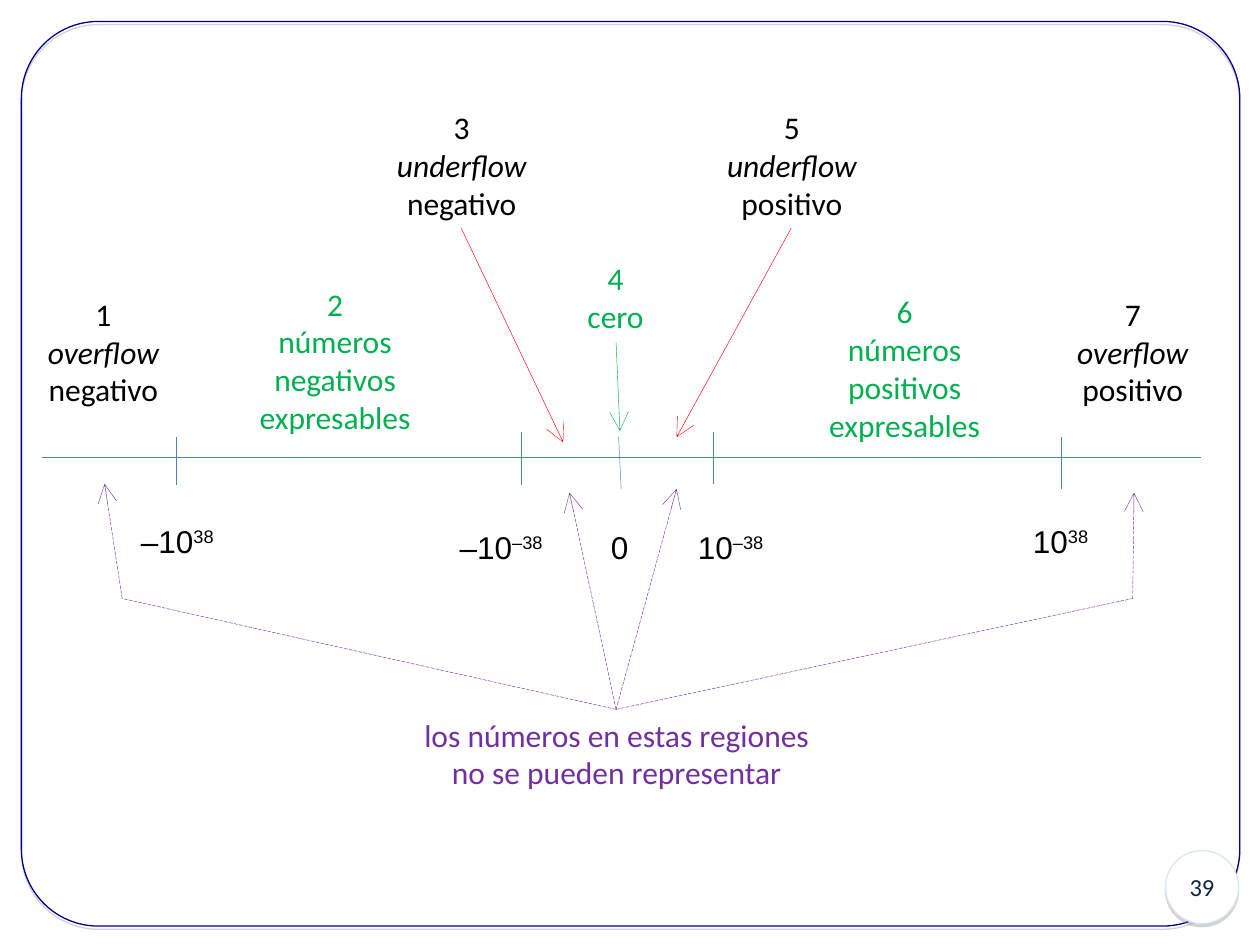
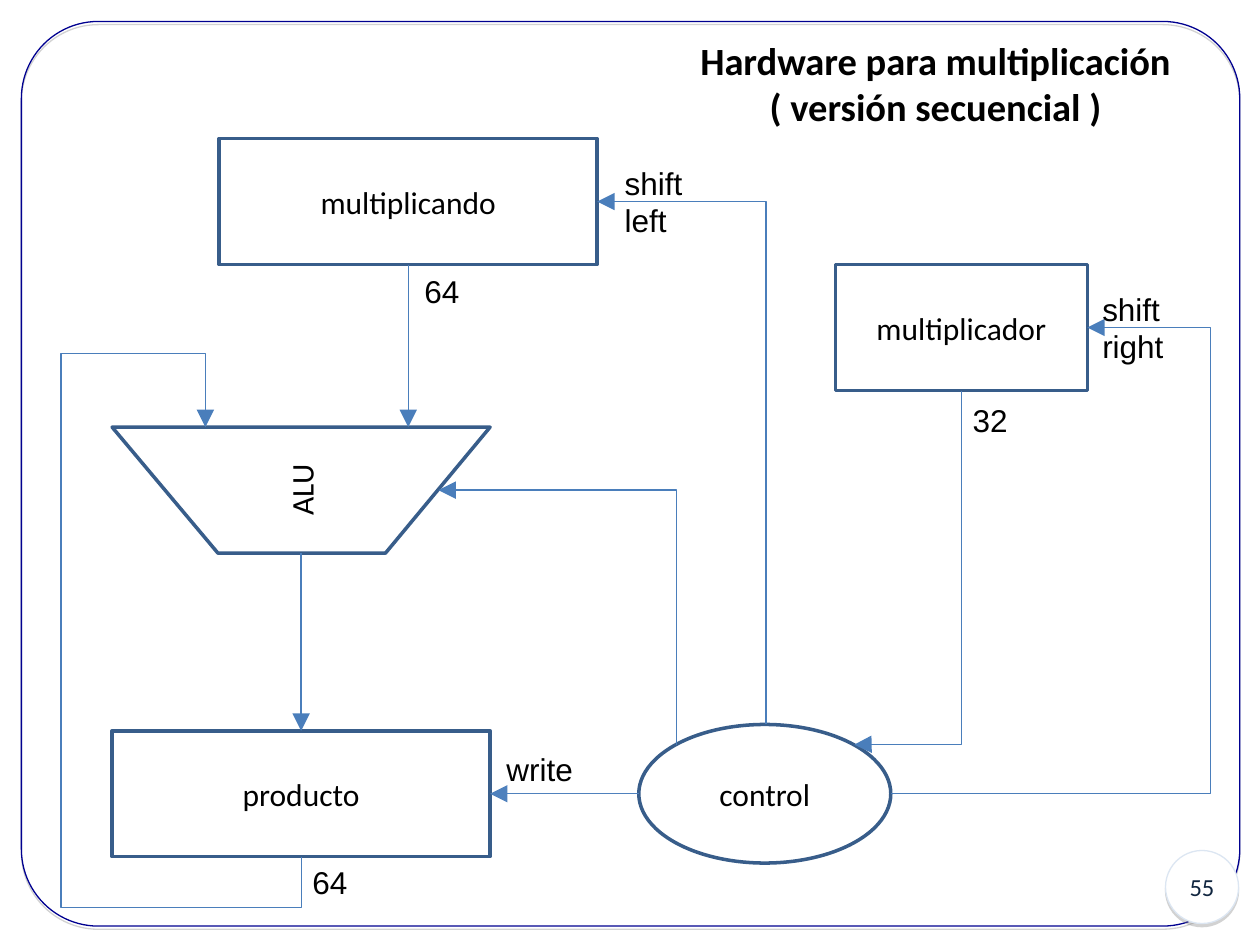
from dataclasses import dataclass

from lxml import etree
from pptx import Presentation
from pptx.dml.color import RGBColor
from pptx.enum.dml import MSO_LINE
from pptx.enum.shapes import MSO_CONNECTOR as CONN, MSO_SHAPE as SHAPE
from pptx.enum.text import MSO_ANCHOR as ANCHOR, MSO_AUTO_SIZE as AUTO, PP_ALIGN as ALIGN
from pptx.oxml.ns import qn
from pptx.util import Inches, Pt

COLORS = {
    "frame": "000090", "badge": "FFFFFF", "badge_line": "DCE6F2", "page": "10253F",
    "shadow": "808080", "text": "000000", "axis": "4F81BD", "box": "385D8A",
    "wire": "4A7EBB", "ok": "00B050", "underflow": "FF0000", "lost": "7030A0",
}
BODY, LABEL = "Calibri", "Arial"
ITALIC_WORDS = {"overflow", "underflow"}
Point = tuple[float, float]


@dataclass
class Label:
    text: str
    left: float
    top: float
    width: float
    height: float
    color: str = "text"
    font: str = LABEL
    align: ALIGN = ALIGN.LEFT
    power: str = ""


@dataclass
class Box:
    text: str
    left: float
    top: float
    width: float
    height: float
    shape: SHAPE = SHAPE.RECTANGLE


@dataclass
class Line:
    start: Point
    end: Point
    color: str = "axis"
    head: str = ""
    width: float = 0.25
    dashed: bool = False


@dataclass
class Elbow:
    start: Point
    end: Point
    bends: int          # number in the bentConnector preset
    rotation: int
    flip: bool = True
    adjust: tuple[int, ...] = ()


def rgb(name: str) -> RGBColor:
    return RGBColor.from_string(COLORS[name])


def sub(parent, tag: str, **attrs):
    return etree.SubElement(parent, qn(tag), attrs)


def format_text(tf, size: int, color: str, font: str, align: ALIGN, bold=False) -> None:
    for p in tf.paragraphs:
        p.alignment = align
        for r in p.runs:
            r.font.size, r.font.name, r.font.bold = Pt(size), font, bold
            r.font.italic = r.text in ITALIC_WORDS
            r.font.color.rgb = rgb(color)


def style_shape(sp, line: str, width: float, fill: str = "") -> None:
    sp.shadow.inherit = False
    if fill:
        sp.fill.solid()
        sp.fill.fore_color.rgb = rgb(fill)
    else:
        sp.fill.background()
    sp.line.color.rgb = rgb(line)
    sp.line.width = Pt(width)


def add_box(s, box: Box, line: str = "box", width: float = 2, fill: str = "",
            size: int = 18, color: str = "text"):
    sp = s.shapes.add_shape(box.shape, Inches(box.left), Inches(box.top),
                            Inches(box.width), Inches(box.height))
    style_shape(sp, line, width, fill)
    fill_box(sp, box.text, size, color)
    return sp


def fill_box(sp, text: str, size: int = 18, color: str = "text") -> None:
    if text:
        tf = sp.text_frame
        tf.text, tf.vertical_anchor = text, ANCHOR.MIDDLE
        format_text(tf, size, color, BODY, ALIGN.CENTER)


def drop_shadow(sp) -> None:
    effects = sp._element.spPr.find(qn("a:effectLst"))
    outer = sub(effects, "a:outerShdw", dist=str(Pt(1.8)), dir="5400000",
                algn="ctr", rotWithShape="0")
    clr = sub(outer, "a:srgbClr", val=COLORS["shadow"])
    sub(clr, "a:alpha", val="35000")


def add_label(s, label: Label) -> None:
    tb = s.shapes.add_textbox(Inches(label.left), Inches(label.top),
                              Inches(label.width), Inches(label.height))
    tf = tb.text_frame
    tf.text, tf.word_wrap, tf.auto_size = label.text, False, AUTO.SHAPE_TO_FIT_TEXT
    if label.power:
        r = tf.paragraphs[0].add_run()
        r.text = label.power
        r.font._element.set("baseline", "30000")
    format_text(tf, 18, label.color, label.font, label.align)


def style_line(c, color: str, width: float, head: str, dashed: bool = False) -> None:
    c.line.color.rgb = rgb(color)
    c.line.width = Pt(width)
    if dashed:
        c.line.dash_style = MSO_LINE.LONG_DASH
    if head:
        sub(c.line._get_or_add_ln(), "a:tailEnd", type=head, w="lg", len="lg")
    sub(c._element.spPr, "a:effectLst")


def add_line(s, line: Line) -> None:
    ends = [Inches(v) for v in (*line.start, *line.end)]
    c = s.shapes.add_connector(CONN.STRAIGHT, *ends)
    style_line(c, line.color, line.width, line.head, line.dashed)


def add_elbow(s, elbow: Elbow) -> None:
    """Place the unrotated frame around the midpoint, then turn it."""
    (x1, y1), (x2, y2) = elbow.start, elbow.end
    w, h = abs(x2 - x1), abs(y2 - y1)
    if elbow.rotation:
        w, h = h, w
    left, top = (x1 + x2 - w) / 2, (y1 + y2 - h) / 2
    c = s.shapes.add_connector(CONN.ELBOW, Inches(left), Inches(top),
                               Inches(left + w), Inches(top + h))
    spPr = c._element.spPr
    xfrm = spPr.find(qn("a:xfrm"))
    xfrm.set("rot", str(elbow.rotation * 60000))
    if elbow.flip:
        xfrm.set("flipV", "1")
    geom = spPr.find(qn("a:prstGeom"))
    geom.set("prst", f"bentConnector{elbow.bends}")
    guides = geom.find(qn("a:avLst"))
    for i, value in enumerate(elbow.adjust, 1):
        sub(guides, "a:gd", name=f"adj{i}", fmla=f"val {value}")
    style_line(c, "wire", 0.75, "triangle")


def add_page(prs, layout: int, number: int):
    """New slide with the rounded frame and the page badge."""
    s = prs.slides.add_slide(prs.slide_layouts[layout])
    frame = add_box(s, Box("", 0.17, 0.17, 9.67, 7.18, SHAPE.ROUNDED_RECTANGLE), "frame", 0.75)
    frame.adjustments[0] = 0.085
    badge = add_box(s, Box(str(number), 9.25, 6.75, 0.58, 0.58, SHAPE.OVAL),
                    "badge_line", 0.75, "badge", 14, "page")
    for sp in (frame, badge):
        drop_shadow(sp)
    return s


def build_number_line(prs) -> None:
    s = add_page(prs, 6, 39)

    # Axis and ticks
    add_line(s, Line((0.33, 3.63), (9.53, 3.63)))
    for x1, y1, x2, y2 in ((1.4, 3.47, 1.4, 3.85), (4.14, 3.43, 4.14, 3.85),
                           (4.91, 3.47, 4.93, 3.88), (5.66, 3.43, 5.66, 3.84),
                           (8.42, 3.47, 8.42, 3.88)):
        add_line(s, Line((x1, y1), (x2, y2)))

    # Tick values
    for base, power, left, top, width in (
            ("–10", "38", 1.02, 4.09, 0.78), ("–10", "–38", 3.55, 4.14, 0.86),
            ("0", "", 4.75, 4.14, 0.34), ("10", "–38", 5.44, 4.14, 0.72),
            ("10", "38", 8.1, 4.09, 0.64)):
        add_label(s, Label(base, left, top, width, 0.4, power=power))

    # Regions
    for text, left, top, width, height, color in (
            ("1\noverflow\nnegativo", 0.28, 2.29, 1.08, 1, "text"),
            ("2\nnúmeros\nnegativos\nexpresables", 1.96, 2.21, 1.4, 1.3, "ok"),
            ("3\nunderflow\nnegativo", 3.05, 0.81, 1.23, 1, "text"),
            ("4\ncero", 4.56, 2.01, 0.65, 0.7, "ok"),
            ("5\nunderflow\npositivo", 5.67, 0.81, 1.23, 1, "text"),
            ("6\nnúmeros\npositivos\nexpresables", 6.48, 2.27, 1.4, 1.3, "ok"),
            ("7\noverflow\npositivo", 8.45, 2.29, 1.08, 1, "text"),
            ("los números en estas regiones\nno se pueden representar",
             3.26, 5.63, 3.27, 0.7, "lost")):
        add_label(s, Label(text, left, top, width, height, color, BODY, ALIGN.CENTER))

    # Arrows from regions to the axis
    for start, end, color in (((3.66, 1.81), (4.47, 3.51), "underflow"),
                              ((6.28, 1.81), (5.37, 3.47), "underflow"),
                              ((4.89, 2.72), (4.92, 3.42), "ok")):
        add_line(s, Line(start, end, color, "arrow"))

    # Dashed arrows to the regions that cannot be represented
    note = (4.89, 5.63)
    for start, end, head in ((note, (5.37, 3.88), "arrow"), (note, (4.52, 3.91), "arrow"),
                             (note, (8.99, 4.75), ""), (note, (0.97, 4.75), ""),
                             ((8.99, 4.75), (9, 3.91), "arrow"),
                             ((0.97, 4.75), (0.83, 3.84), "arrow")):
        add_line(s, Line(start, end, "lost", head, dashed=True))


def build_multiplier(prs) -> None:
    s = add_page(prs, 5, 55)

    # Title
    title = s.shapes.title
    title.left, title.top = Inches(5.45), Inches(0.24)
    title.width, title.height = Inches(3.95), Inches(0.84)
    tf = title.text_frame
    tf.text = "Hardware para multiplicación\n( versión secuencial )"
    tf.word_wrap, tf.auto_size, tf.vertical_anchor = False, AUTO.NONE, ANCHOR.TOP
    format_text(tf, 22, "text", BODY, ALIGN.CENTER, bold=True)

    # Registers and control
    for box in (Box("multiplicando", 1.74, 1.1, 3, 1), Box("producto", 0.89, 5.8, 3, 1),
                Box("multiplicador", 6.63, 2.1, 2, 1),
                Box("control", 5.07, 5.75, 2, 1.1, SHAPE.OVAL)):
        add_box(s, box)

    # ALU
    outline = [(Inches(x), Inches(y)) for x, y in
               ((0.89, 3.39), (3.89, 3.39), (3.06, 4.39), (1.73, 4.39))]
    builder = s.shapes.build_freeform(*outline[0])
    builder.add_line_segments(outline[1:], close=True)
    alu = builder.convert_to_shape()
    style_shape(alu, "box", 2)
    fill_box(alu, "ALU")
    alu.text_frame._txBody.bodyPr.set("vert", "vert270")

    # Straight wires
    for start, end, color in (((3.24, 2.1), (3.24, 3.39), "wire"),
                              ((2.39, 4.39), (2.39, 5.8), "wire"),
                              ((5.07, 6.3), (3.89, 6.3), "axis")):
        add_line(s, Line(start, end, color, "triangle", 0.75))

    # Bent wires
    for elbow in (Elbow((2.39, 6.8), (1.63, 3.39), 5, 270, adjust=(-11900, 251000, 117100)),
                  Elbow((6.08, 5.75), (4.74, 1.6), 2, 270),
                  Elbow((5.37, 5.91), (3.48, 3.89), 2, 270),
                  Elbow((7.07, 6.3), (8.63, 2.6), 3, 0, adjust=(162700,)),
                  Elbow((7.63, 3.1), (6.78, 5.91), 3, 90, False, (99900,))):
        add_elbow(s, elbow)

    # Wire labels
    for label in (Label("shift\nleft", 4.86, 1.25, 0.66, 0.7),
                  Label("shift\nright", 8.65, 2.25, 0.8, 0.7),
                  Label("write", 3.92, 5.9, 0.75, 0.4), Label("32", 7.62, 3.13, 0.48, 0.4),
                  Label("64", 3.27, 2.11, 0.48, 0.4), Label("64", 2.38, 6.8, 0.48, 0.4)):
        add_label(s, label)


def main() -> None:
    prs = Presentation()
    prs.slide_width, prs.slide_height = Inches(10), Inches(7.5)
    build_number_line(prs)
    build_multiplier(prs)
    prs.save("out.pptx")


if __name__ == "__main__":
    main()
